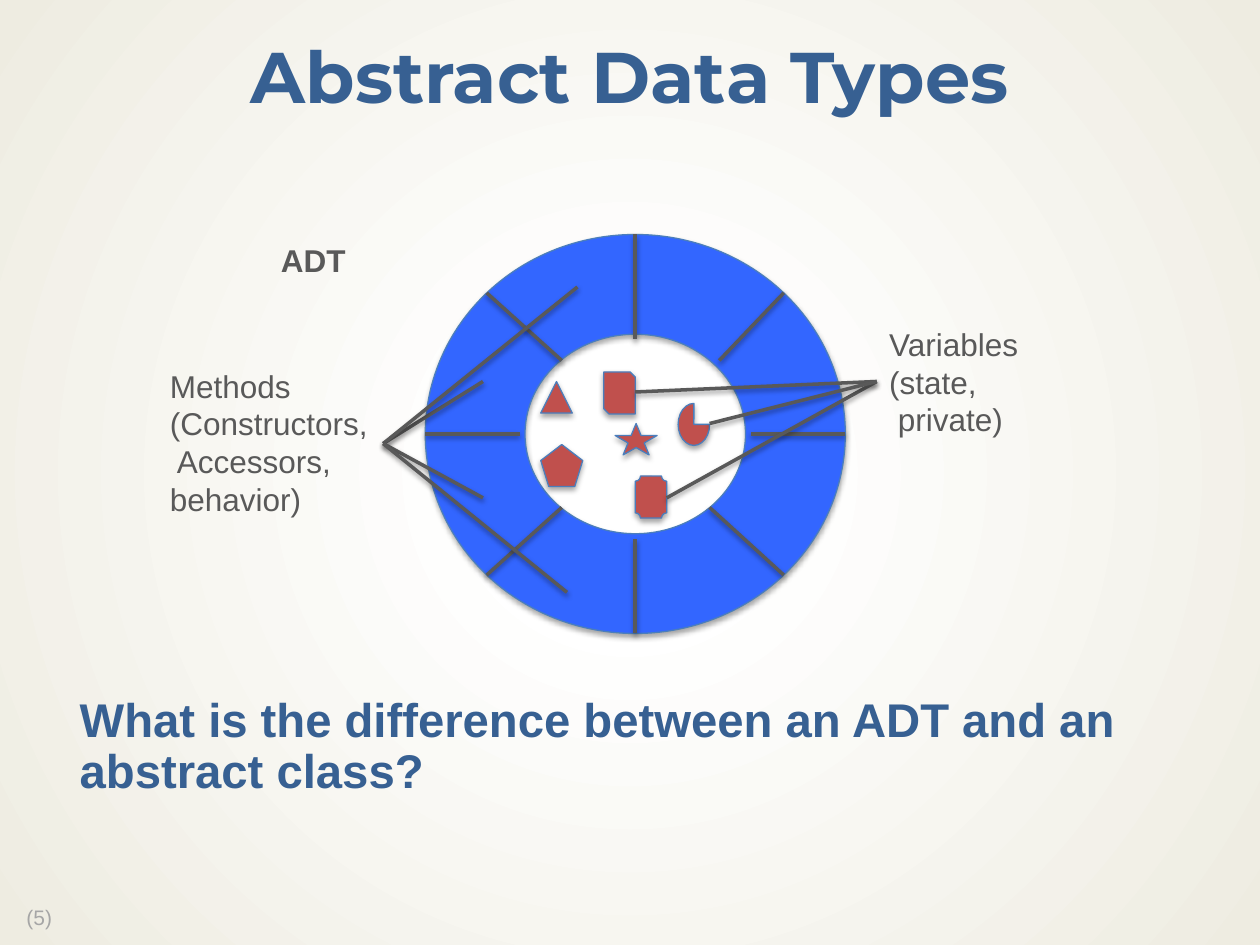
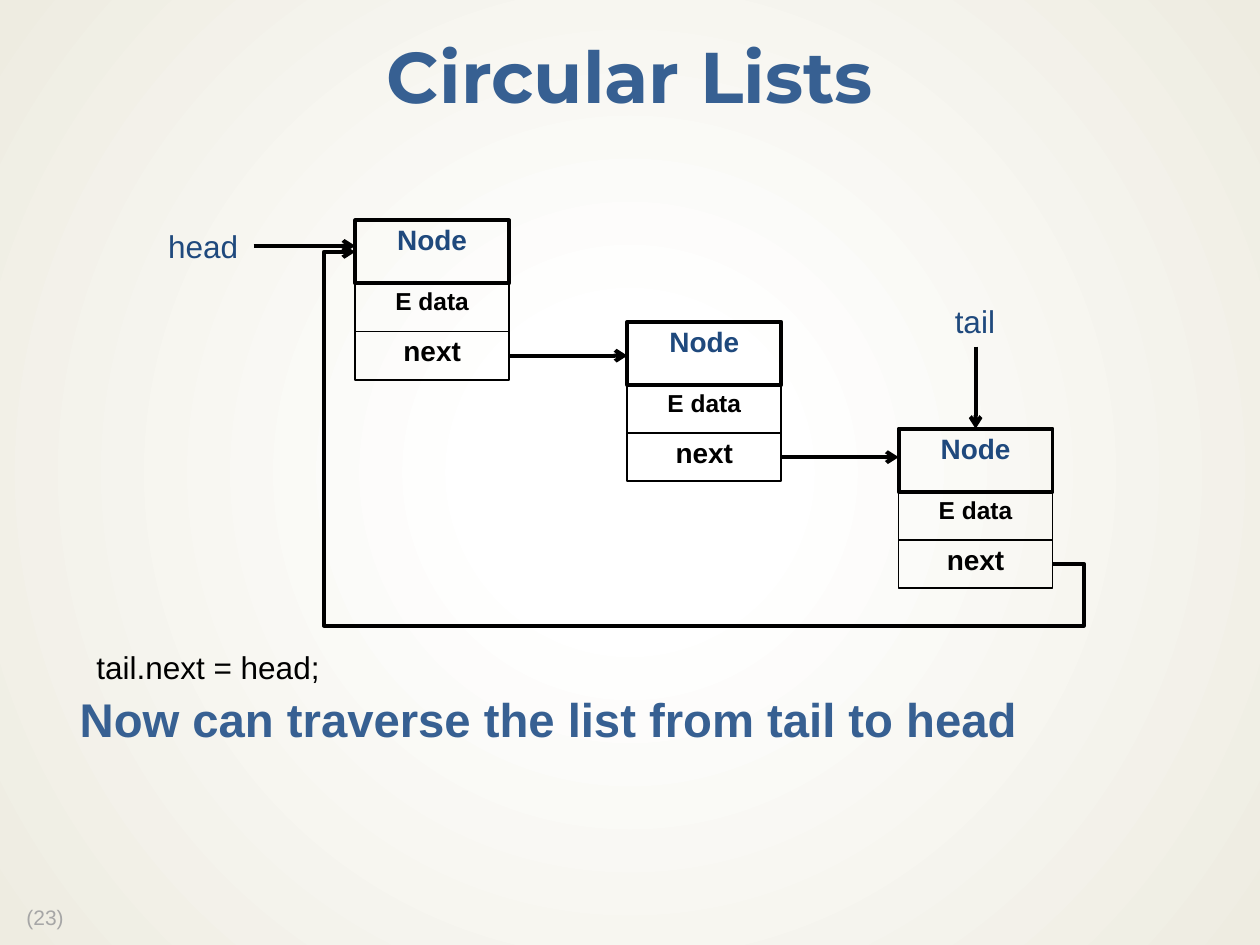
from itertools import pairwise
from math import cos, radians, sin

from lxml import etree
from pptx import Presentation
from pptx.dml.color import RGBColor
from pptx.enum.shapes import MSO_CONNECTOR, MSO_SHAPE
from pptx.enum.text import MSO_ANCHOR, PP_ALIGN
from pptx.oxml import parse_xml
from pptx.oxml.ns import nsdecls, qn
from pptx.util import Pt

STRAIGHT, ELBOW = MSO_CONNECTOR.STRAIGHT, MSO_CONNECTOR.ELBOW
RECTANGLE, DONUT = MSO_SHAPE.RECTANGLE, MSO_SHAPE.DONUT
TOP, MIDDLE = MSO_ANCHOR.TOP, MSO_ANCHOR.MIDDLE
LEFT, CENTER = PP_ALIGN.LEFT, PP_ALIGN.CENTER

HEADING, NAVY, GRAY, MUTED, BLACK = "376092", "1F497D", "595959", "A6A6A6", "000000"
RING, VARIABLE, OUTLINE = "3366FF", "C0504D", "4B7EBC"

RING_BOX = (153, 0, 240, 228)
DIVIDER_INNER_ENDS = [(66, 0), (42.5, 42), (0, 60), (-42, 42),
                      (-66, 0), (-42, -42), (0, -54), (48, -42)]
VARIABLES = [
    (MSO_SHAPE.ISOSCELES_TRIANGLE, 219, 84, 18, 18),
    (MSO_SHAPE.REGULAR_PENTAGON, 219, 120, 24, 24),
    (MSO_SHAPE.SNIP_2_DIAG_RECTANGLE, 255, 78.5, 18, 24),
    (MSO_SHAPE.PIE, 297.5, 96.5, 18, 24),
    (MSO_SHAPE.PLAQUE, 273, 138, 18, 24),
    (MSO_SHAPE.STAR_5_POINT, 261.5, 108, 24, 18),
]
CALLOUTS = [
    ((129, 119.5), [(186, 84), (240, 30), (186, 150.5), (234, 204.5)]),
    ((411, 84), [(273, 90), (291, 150.5), (315.5, 108)]),
]
ADT_LABELS = [
    (["ADT"], 63.5, 0, 52, 29, True),
    (["Methods", "(Constructors,", " Accessors,", "behavior)"], 0, 72, 129, 94, False),
    (["Variables", "(state,", " private)"], 411, 48, 90, 73, False),
]

NODE_WIDTH = 88
NODE_CELLS = [("Node", 36, 2.25, 16, NAVY), ("E data", 27.5, 1, 14, BLACK),
              ("next", 27.5, 1, 16, BLACK)]
NEXT_MIDDLE = 77.25
NODE_ORIGINS = [(114, 0), (269.5, 58), (424.5, 119)]
LIST_LABELS = [("head", 0, 0, 55, NAVY), ("tail", 449.5, 43, 38, NAVY),
               ("tail.next = head;", -41, 241, 148, BLACK)]


def rgb(value):
    """Turn a hex string into a colour."""
    return RGBColor.from_string(value)


def box(left, top, width, height):
    """Convert a box in points to lengths."""
    return Pt(left), Pt(top), Pt(width), Pt(height)


def style(paragraph, size, color, bold=False, font="Arial", align=LEFT, spacing=None):
    """Format one paragraph."""
    paragraph.alignment = align
    paragraph.line_spacing = spacing
    paragraph.font.name = font
    paragraph.font.size = Pt(size)
    paragraph.font.bold = bold
    paragraph.font.color.rgb = rgb(color)


def add_text(slide, lines, place, size, color, bold=False, spacing=None, wrap=False):
    """Add a text box with one paragraph for each line."""
    frame = slide.shapes.add_textbox(*box(*place)).text_frame
    frame.word_wrap = wrap
    frame.text = "\n".join(lines)
    for paragraph in frame.paragraphs:
        style(paragraph, size, color, bold, spacing=spacing)
    return frame


def add_shadow(shape, opacity, distance):
    """Cast a soft shadow straight down."""
    shape.element.spPr.append(parse_xml(
        f'<a:effectLst {nsdecls("a")}><a:outerShdw blurRad="{Pt(3.1)}" '
        f'dist="{Pt(distance)}" dir="5400000" rotWithShape="0"><a:srgbClr val="{BLACK}">'
        f'<a:alpha val="{opacity * 1000}"/></a:srgbClr></a:outerShdw></a:effectLst>'))


def add_solid(slide, preset, place, fill):
    """Add an outlined, shadowed preset shape."""
    solid = slide.shapes.add_shape(preset, *box(*place))
    solid.fill.solid()
    solid.fill.fore_color.rgb = rgb(fill)
    solid.line.color.rgb = rgb(OUTLINE)
    solid.line.width = Pt(0.75)
    add_shadow(solid, 35, 1.8)


def add_line(slide, start, end, color, width, kind=STRAIGHT):
    """Connect two points."""
    line = slide.shapes.add_connector(kind, *map(Pt, (*start, *end)))
    line.line.color.rgb = rgb(color)
    line.line.width = Pt(width)
    return line


def add_spoke(slide, start, end):
    """Add a shadowed gray line."""
    add_shadow(add_line(slide, start, end, GRAY, 2), 38, 1.6)


def add_arrow(slide, start, end, kind=STRAIGHT):
    """Add a black line with an open arrowhead at its end."""
    arrow = add_line(slide, start, end, BLACK, 2.25, kind)
    etree.SubElement(arrow.line._get_or_add_ln(), qn("a:tailEnd"), type="arrow")
    etree.SubElement(arrow.element.spPr, qn("a:effectLst"))
    return arrow


def set_background(master):
    """Give every slide the radial cream background."""
    master.background.fill.gradient()
    gradient = master.element.find(".//" + qn("a:gradFill"))
    gradient.getparent().replace(gradient, parse_xml(
        f'<a:gradFill {nsdecls("a")} rotWithShape="1"><a:gsLst>'
        '<a:gs pos="18000"><a:srgbClr val="FFFFFF"><a:alpha val="53000"/></a:srgbClr></a:gs>'
        '<a:gs pos="100000"><a:srgbClr val="EEECE1"/></a:gs></a:gsLst>'
        '<a:path path="circle"><a:fillToRect l="50000" t="50000" r="50000" b="50000"/>'
        '</a:path></a:gradFill>'))


def add_slide(deck, heading, takeaway, number):
    """Add a slide with its title, takeaway and page number."""
    slide = deck.slides.add_slide(deck.slide_layouts[5])
    title = slide.shapes.title
    title.left, title.top, title.width, title.height = box(0, 12, 720, 68)
    title.text = heading
    title.text_frame.vertical_anchor = MIDDLE
    style(title.text_frame.paragraphs[0], 41, HEADING, True, "Montserrat", CENTER, 0.9)
    add_text(slide, [takeaway], (38.5, 394.5, 653, 70), 27, HEADING, True, 0.9, wrap=True)
    add_text(slide, [f"({number})"], (8, 515, 40, 20), 12, MUTED, spacing=0.9)
    return slide


def add_adt_diagram(slide, left, top):
    """Draw the ring of methods around the private variables."""
    def at(point):
        return left + point[0], top + point[1]

    ring_left, ring_top, ring_width, ring_height = RING_BOX
    add_solid(slide, DONUT, (*at(RING_BOX), ring_width, ring_height), RING)
    center_x, center_y = ring_left + ring_width / 2, ring_top + ring_height / 2
    for step, (inner_x, inner_y) in enumerate(DIVIDER_INNER_ENDS):
        angle = radians(45 * step)
        rim = (center_x + ring_width / 2 * cos(angle), center_y + ring_height / 2 * sin(angle))
        add_spoke(slide, at(rim), at((center_x + inner_x, center_y + inner_y)))
    for preset, x, y, width, height in VARIABLES:
        add_solid(slide, preset, (*at((x, y)), width, height), VARIABLE)
    for lines, x, y, width, height, bold in ADT_LABELS:
        add_text(slide, lines, (*at((x, y)), width, height), 18, GRAY, bold)
    for hub, targets in CALLOUTS:
        for target in targets:
            add_spoke(slide, at(hub), at(target))


def add_node(slide, left, top):
    """Stack the cells of one list node."""
    for label, height, border, size, color in NODE_CELLS:
        cell = slide.shapes.add_shape(RECTANGLE, *box(left, top, NODE_WIDTH, height))
        cell.shadow.inherit = False
        cell.fill.background()
        cell.line.color.rgb = rgb(BLACK)
        cell.line.width = Pt(border)
        cell.text_frame.text = label
        cell.text_frame.vertical_anchor = TOP
        style(cell.text_frame.paragraphs[0], size, color, True, align=CENTER, spacing=0.9)
        top += height


def add_return_arrow(slide, start, end):
    """Route an arrow around below the nodes, back to the first one."""
    arrow = add_arrow(slide, start, end, ELBOW)
    geometry = arrow.element.spPr.find(qn("a:prstGeom"))
    geometry.set("prst", "bentConnector5")
    guides = geometry.find(qn("a:avLst"))
    for index, value in enumerate((-4500, -19800, 104500), 1):
        etree.SubElement(guides, qn("a:gd"), name=f"adj{index}", fmla=f"val {value}")


def add_circular_list(slide, left, top):
    """Draw three linked nodes whose last points to the first."""
    nodes = [(left + x, top + y) for x, y in NODE_ORIGINS]
    for node in nodes:
        add_node(slide, *node)
    for (x, y), (next_x, _) in pairwise(nodes):
        add_arrow(slide, (x + NODE_WIDTH, y + NEXT_MIDDLE), (next_x, y + NEXT_MIDDLE))
    (first_x, first_y), (last_x, last_y) = nodes[0], nodes[-1]
    add_arrow(slide, (left + 56, top + 14.5), (first_x, top + 14.5))
    tail_x = last_x + NODE_WIDTH / 2
    add_arrow(slide, (tail_x, top + 72), (tail_x, last_y))
    add_return_arrow(slide, (last_x + NODE_WIDTH, last_y + NEXT_MIDDLE), (first_x, first_y + 18))
    for label, x, y, width, color in LIST_LABELS:
        add_text(slide, [label], (left + x, top + y, width, 29), 18, color)


def main():
    """Build both slides and save them."""
    deck = Presentation()
    deck.slide_width, deck.slide_height = Pt(720), Pt(540)
    set_background(deck.slide_master)
    adt = add_slide(deck, "Abstract Data Types",
                    "What is the difference between an ADT and an abstract class?", 5)
    add_adt_diagram(adt, 90, 134)
    circular = add_slide(deck, "Circular Lists",
                         "Now can traverse the list from tail to head", 23)
    add_circular_list(circular, 89, 126)
    deck.save("out.pptx")


if __name__ == "__main__":
    main()
